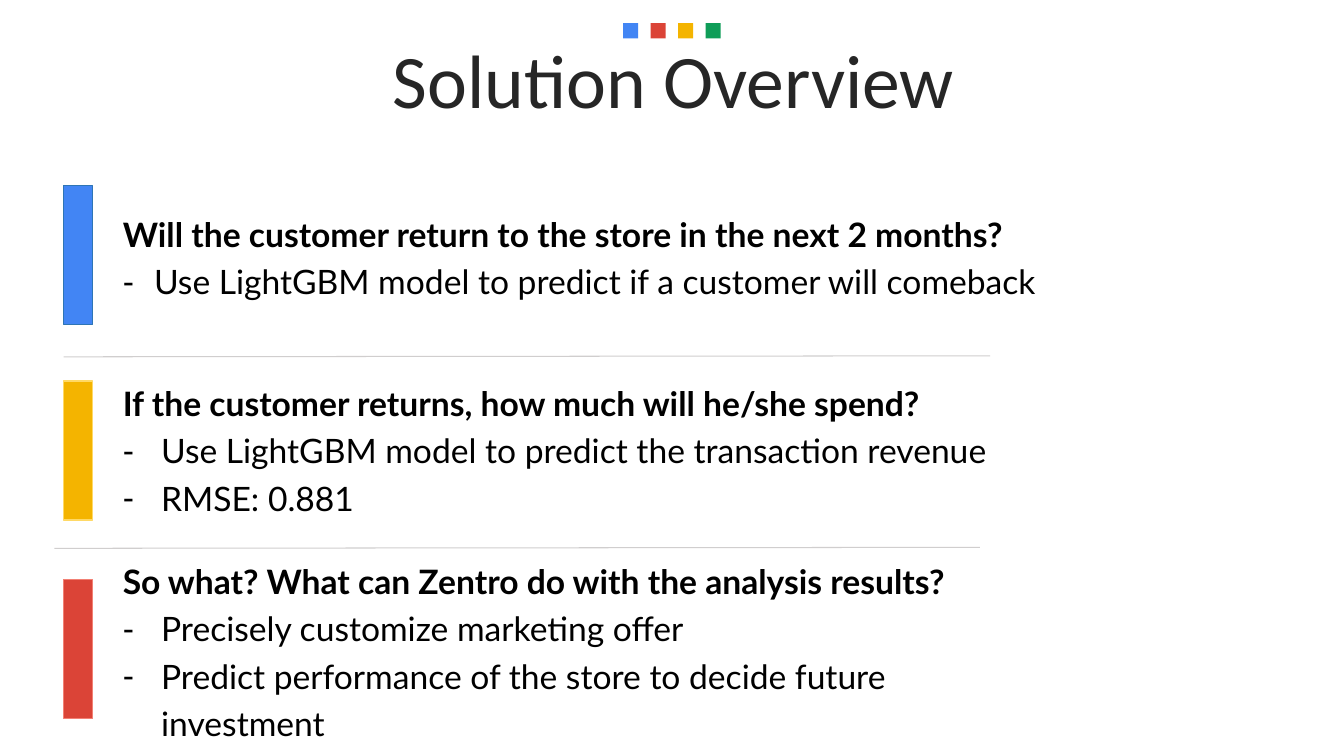
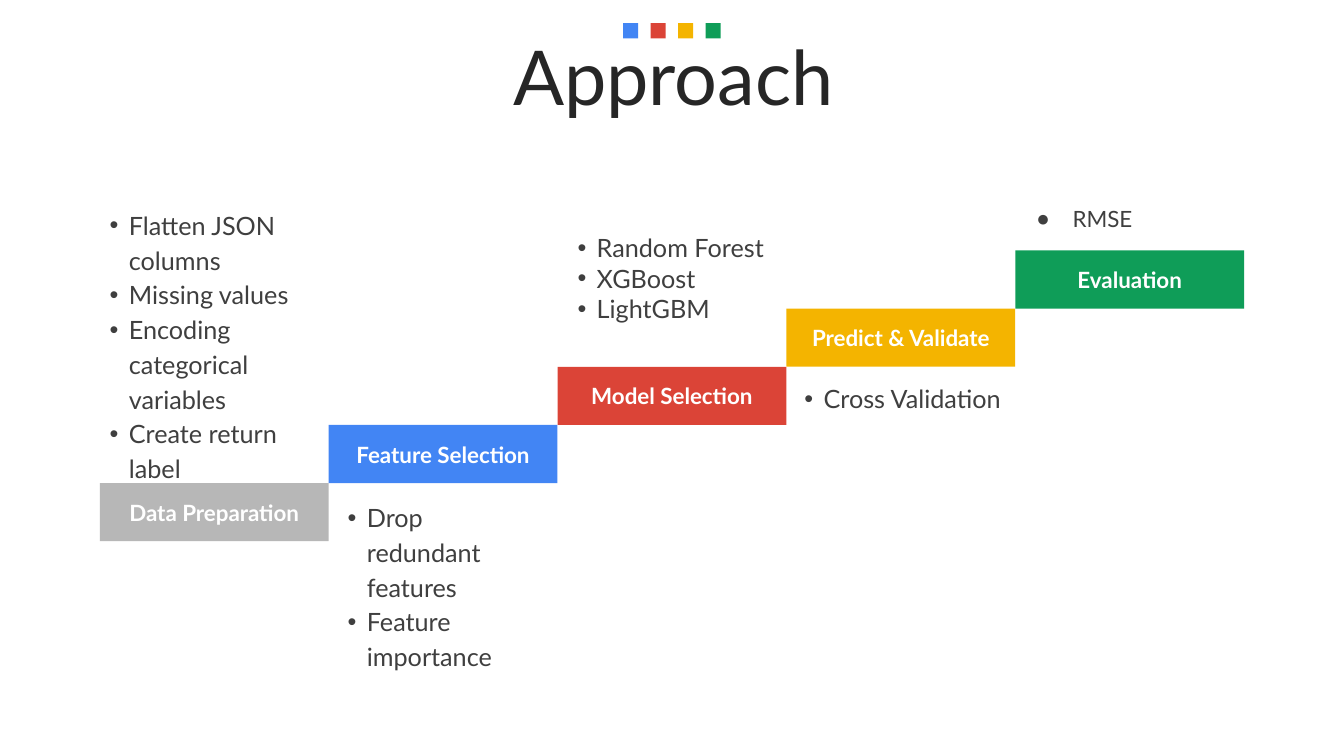
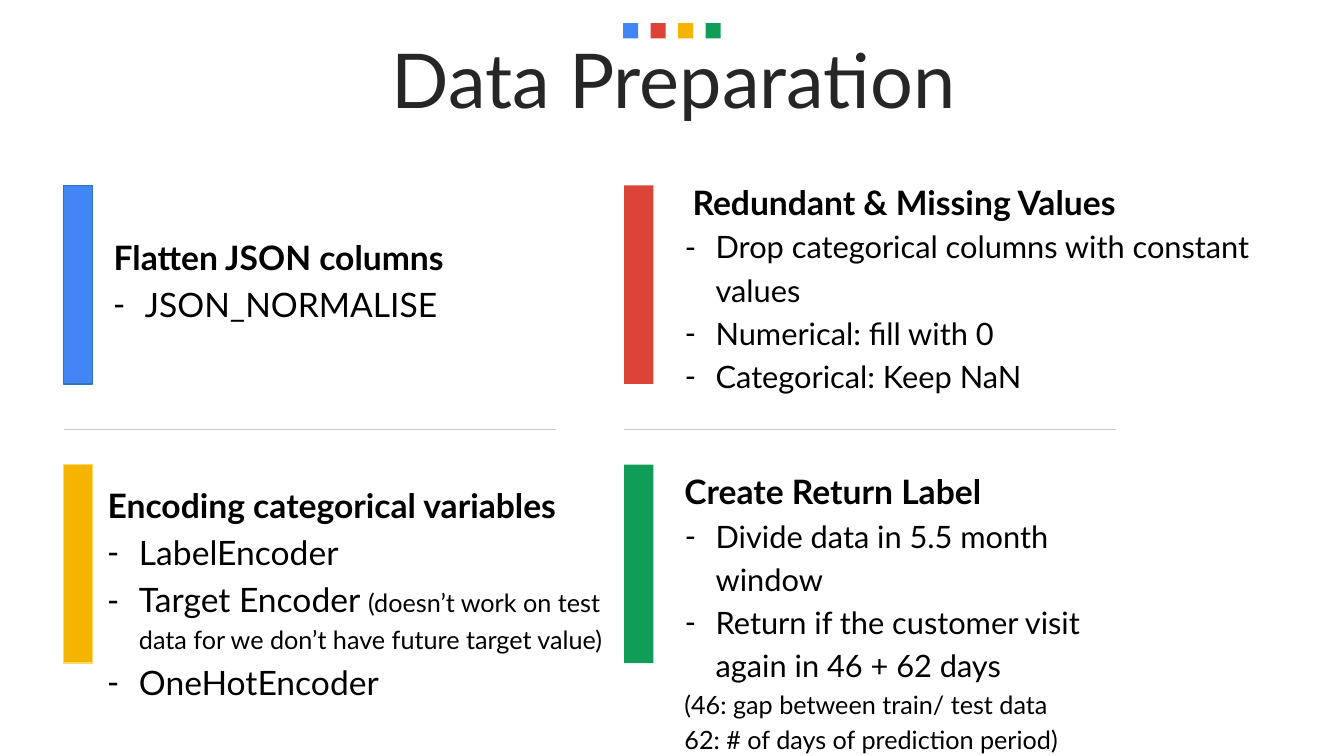
from lxml import etree
from pptx import Presentation
from pptx.dml.color import RGBColor
from pptx.enum.shapes import MSO_CONNECTOR, MSO_SHAPE
from pptx.enum.text import MSO_ANCHOR, PP_ALIGN
from pptx.oxml.ns import qn
from pptx.util import Inches, Pt

RECTANGLE = MSO_SHAPE.RECTANGLE
STRAIGHT = MSO_CONNECTOR.STRAIGHT
TOP, MIDDLE = MSO_ANCHOR.TOP, MSO_ANCHOR.MIDDLE
LEFT, CENTER = PP_ALIGN.LEFT, PP_ALIGN.CENTER

COLORS = {
    "blue": "4285F4", "red": "DB4437", "yellow": "F4B400", "green": "0F9D58",
    "gray": "B7B7B7", "rule": "D0CECE", "title": "262626", "text": "000000",
    "note": "3F3F3F", "white": "FFFFFF",
    "blue edge": "2E75B5", "yellow edge": "FFD966", "red edge": "F28074",
}
FONT = "Lato"
PANEL_SPACING = 1.17
BAR_WIDTH = 0.29


def rgb(name):
    return RGBColor.from_string(COLORS[name])


def add_block(page, box, fill, edge=None):
    block = page.shapes.add_shape(RECTANGLE, *map(Inches, box))
    block.shadow.inherit = False
    block.fill.solid()
    block.fill.fore_color.rgb = rgb(fill)
    if edge:
        block.line.color.rgb = rgb(edge)
        block.line.width = Pt(1)
    else:
        block.line.fill.background()
    return block


def add_rule(page, start, end):
    rule = page.shapes.add_connector(STRAIGHT, *map(Inches, start + end))
    rule.line.color.rgb = rgb("rule")
    rule.line.width = Pt(0.75)
    etree.SubElement(rule._element.spPr, qn("a:effectLst"))


def add_text_frame(page, box, anchor=MIDDLE):
    frame = page.shapes.add_textbox(*map(Inches, box)).text_frame
    frame.word_wrap = True
    frame.vertical_anchor = anchor
    return frame


def next_para(frame):
    """Return the empty first paragraph, or a new one after the others."""
    first = frame.paragraphs[0]
    return frame.add_paragraph() if first.runs else first


def write_para(para, text, size, color, bold=False, font=FONT, align=LEFT, spacing=None):
    """Write a string, or a list of (string, size) spans."""
    para.alignment = align
    if spacing:
        para.line_spacing = spacing
    for words, points in [(text, size)] if isinstance(text, str) else text:
        span = para.add_run()
        span.text = words
        span.font.name = font
        span.font.size = Pt(points)
        span.font.bold = bold
        span.font.color.rgb = rgb(color)


def set_bullet(para, mark, color, indent, hang):
    props = para._p.get_or_add_pPr()
    props.set("marL", str(Inches(indent)))
    props.set("indent", str(-Inches(hang)))
    tint = etree.SubElement(props, qn("a:buClr"))
    etree.SubElement(tint, qn("a:srgbClr")).set("val", COLORS[color])
    etree.SubElement(props, qn("a:buFont")).set("typeface", "Arial")
    etree.SubElement(props, qn("a:buChar")).set("char", mark)


def start_page(deck, title, font=FONT, spacing=0.9, before=0):
    """Add a page with the four squares and the centred title."""
    page = deck.slides.add_slide(deck.slide_layouts[6])
    for index, color in enumerate(("blue", "red", "yellow", "green")):
        add_block(page, (6.18 + index * 0.273, 0.23, 0.15, 0.15), color)
    para = add_text_frame(page, (0.35, 0.44, 12.66, 0.79)).paragraphs[0]
    write_para(para, title, 54, "title", font=font, align=CENTER, spacing=spacing)
    para.space_before = Pt(before)
    return page


def add_panel(page, box, heading, points, indent=0.31, hang=0.31, size=24, remarks=()):
    """Bold heading, dashed points and small remarks in one box."""
    frame = add_text_frame(page, box)
    write_para(next_para(frame), heading, 24, "text", bold=True, spacing=PANEL_SPACING)
    for point in points:
        para = next_para(frame)
        write_para(para, point, size, "text", spacing=PANEL_SPACING)
        set_bullet(para, "-", "text", indent, hang)
    for remark in remarks:
        write_para(next_para(frame), remark, 18, "text", spacing=PANEL_SPACING)


def add_step(page, box, label, fill):
    step = add_block(page, box, fill)
    step.text_frame.vertical_anchor = MIDDLE
    write_para(step.text_frame.paragraphs[0], label, 16, "white", bold=True, align=CENTER)


def add_notes_list(page, box, items, spacing=1.15, size=18, mark="•", indent=0.19, hang=0.22):
    frame = add_text_frame(page, box, TOP)
    for item in items:
        para = next_para(frame)
        write_para(para, item, size, "note", spacing=spacing)
        set_bullet(para, mark, "note", indent, hang)


def build_overview(deck):
    page = start_page(deck, "Solution Overview", font="Calibri")
    # Coloured bars and rules
    for top, color in ((1.84, "blue"), (3.78, "yellow"), (5.75, "red")):
        add_block(page, (0.63, top, BAR_WIDTH, 1.38), color, color + " edge")
    add_rule(page, (0.63, 3.54), (9.82, 3.53))
    add_rule(page, (0.54, 5.44), (9.72, 5.43))
    # Questions and answers
    add_panel(page, (1.12, 1.63, 9.56, 1.79),
              "Will the customer return to the store in the next 2 months?",
              ["Use LightGBM model to predict if a customer will comeback"])
    add_panel(page, (1.12, 3.42, 8.83, 2.03),
              "If the customer returns, how much will he/she spend?",
              ["Use LightGBM model to predict the transaction revenue", "RMSE: 0.881"],
              indent=0.38, hang=0.38)
    add_panel(page, (1.12, 5.42, 9.23, 2.03),
              "So what? What can Zentro do with the analysis results?",
              ["Precisely customize marketing offer",
               "Predict performance of the store to decide future investment"],
              indent=0.38, hang=0.38)


def build_approach(deck):
    page = start_page(deck, "Approach", spacing=0.8)
    # Staircase of steps
    left, bottom, width, height = 0.99, 5.37, 2.27, 0.577
    steps = (("Data Preparation", "gray"), ("Feature Selection", "blue"),
             ("Model Selection", "red"), ("Predict & Validate", "yellow"),
             ("Evaluation", "green"))
    for index, (label, fill) in enumerate(steps):
        box = (left + index * width, bottom - (index + 1) * height, width, height)
        add_step(page, box, label, fill)
    # Notes beside the steps
    add_notes_list(page, (0.99, 1.99, 2.17, 1.51),
                   ["Flatten JSON columns", "Missing values",
                    "Encoding categorical variables", "Create return label"])
    add_notes_list(page, (3.35, 4.89, 2.11, 0.97),
                   ["Drop redundant features", "Feature importance"])
    add_notes_list(page, (5.63, 2.26, 2.08, 0.97),
                   ["Random Forest", "XGBoost", "LightGBM"], spacing=None)
    add_notes_list(page, (7.88, 3.71, 2.29, 0.97), ["Cross Validation"])
    add_notes_list(page, (10.04, 1.99, 2.08, 0.47), ["RMSE"], spacing=None,
                   size=16, mark="●", indent=0.5, hang=0.36)


def build_preparation(deck):
    page = start_page(deck, "Data Preparation", before=10)
    # Bars and rules of the two columns
    columns = ((0.63, (("blue", "blue edge"), ("yellow", "yellow edge"))),
               (6.19, (("red", None), ("green", None))))
    for left, bars in columns:
        for top, (fill, edge) in zip((1.84, 4.61), bars):
            add_block(page, (left, top, BAR_WIDTH, 1.97), fill, edge)
        add_rule(page, (left, 4.26), (left + 4.88, 4.26))
    # Panels
    add_panel(page, (1.03, 1.85, 4.57, 1.79), "Flatten JSON columns", ["JSON_NORMALISE"])
    add_panel(page, (6.69, 1.93, 6.04, 1.79), " Redundant & Missing Values",
              ["Drop categorical columns with constant values",
               "Numerical: fill with 0", "Categorical: Keep NaN"], hang=0.3, size=22)
    add_panel(page, (0.97, 4.96, 5.11, 1.79), "Encoding categorical variables",
              ["LabelEncoder",
               [("Target Encoder ", 24),
                ("(doesn’t work on test data for we don’t have future target value)", 18)],
               "OneHotEncoder"])
    add_panel(page, (6.69, 5.15, 4.57, 1.79), "Create Return Label",
              ["Divide data in 5.5 month window",
               "Return if the customer visit again in 46 + 62 days"], hang=0.3, size=22,
              remarks=["(46: gap between train/ test data",
                       "62: # of days of prediction period)"])


def main():
    deck = Presentation()
    deck.slide_width, deck.slide_height = Inches(13.33), Inches(7.5)
    build_overview(deck)
    build_approach(deck)
    build_preparation(deck)
    deck.save("out.pptx")


if __name__ == "__main__":
    main()
